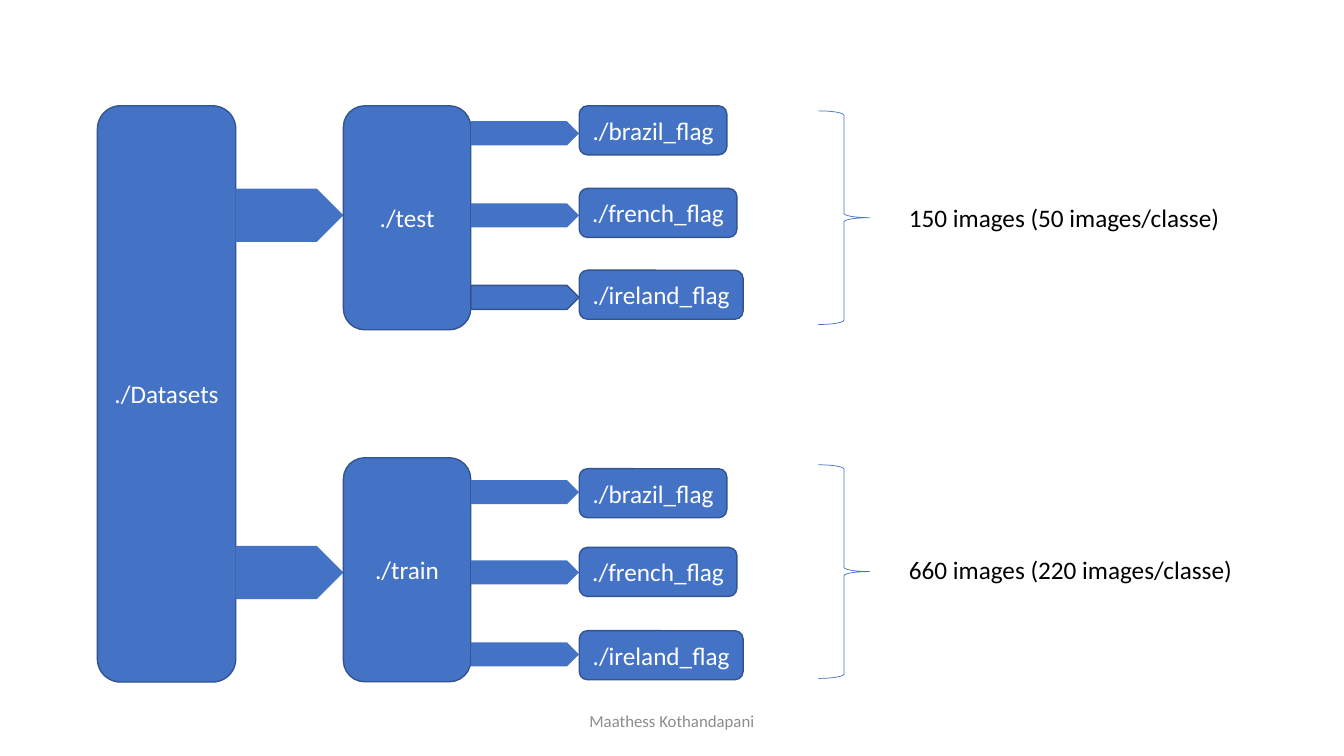
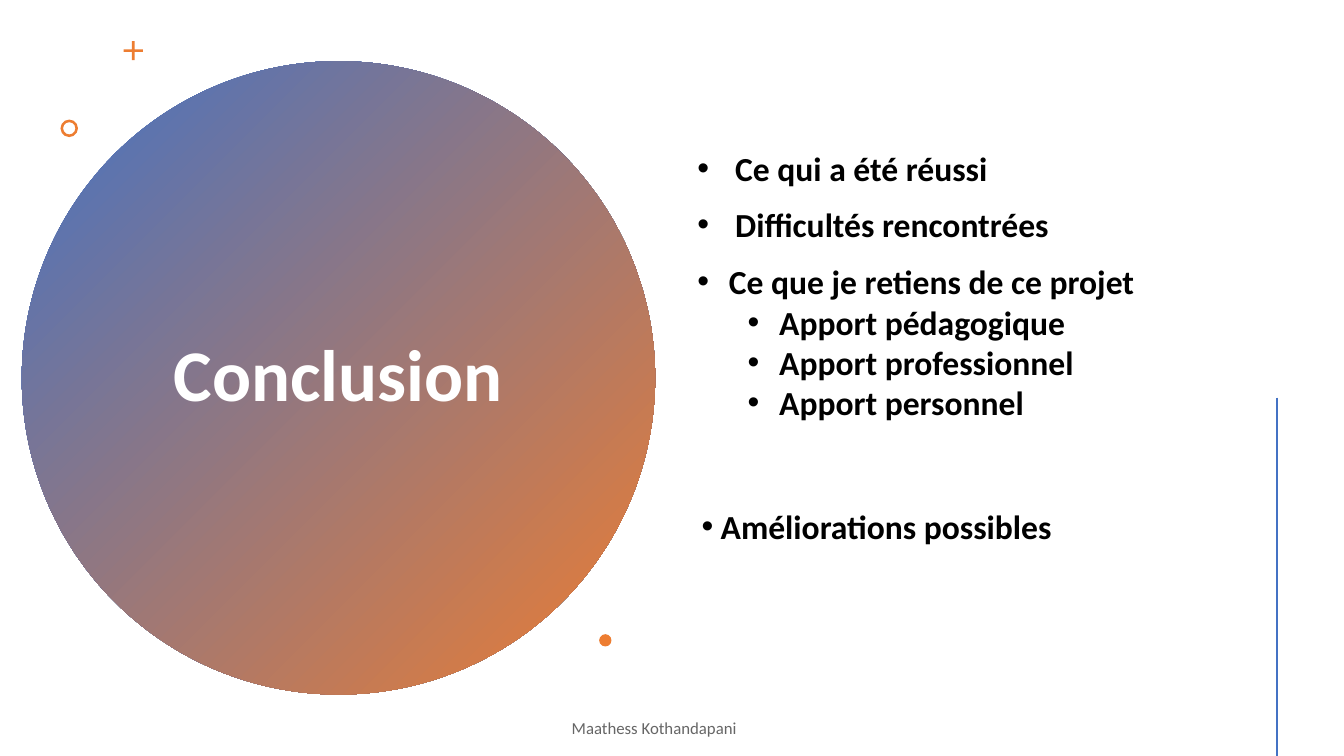
from lxml import etree
from pptx import Presentation
from pptx.dml.color import RGBColor
from pptx.enum.shapes import MSO_CONNECTOR, MSO_SHAPE
from pptx.enum.text import MSO_ANCHOR, MSO_AUTO_SIZE, PP_ALIGN
from pptx.oxml.ns import qn
from pptx.util import Pt

ROUNDED, ARROW, BRACE = (MSO_SHAPE.ROUNDED_RECTANGLE, MSO_SHAPE.PENTAGON,
                         MSO_SHAPE.RIGHT_BRACE)
CIRCLE, RING, PLUS = MSO_SHAPE.OVAL, MSO_SHAPE.DONUT, MSO_SHAPE.CROSS
STRAIGHT = MSO_CONNECTOR.STRAIGHT
LEFT, CENTER = PP_ALIGN.LEFT, PP_ALIGN.CENTER
TOP, MIDDLE = MSO_ANCHOR.TOP, MSO_ANCHOR.MIDDLE
NO_AUTOFIT = MSO_AUTO_SIZE.NONE

BLUE, DARK_BLUE, ORANGE = "4472C4", "325491", "ED7D31"
BLACK, WHITE, GREY, DARK_GREY = "000000", "FFFFFF", "8C8C8C", "666666"
FONT = "Calibri"
AUTHOR = "Maathess Kothandapani"
BLANK, TITLE_ONLY = 6, 5


def color(value):
    return RGBColor.from_string(value)


def place(left, top, width, height):
    return Pt(left), Pt(top), Pt(width), Pt(height)


def assign(target, values):
    for name, value in values.items():
        setattr(target, name, value)


class Deck:
    """Shared style, and the page being drawn."""

    def __init__(self):
        self.deck = Presentation()
        assign(self.deck, {"slide_width": Pt(960), "slide_height": Pt(540)})
        self.page = None

    def new_page(self, layout):
        self.page = self.deck.slides.add_slide(self.deck.slide_layouts[layout])

    def fill_para(self, para, text, size, ink, bold=False, align=LEFT,
                  spacing=1.0):
        assign(para, {"alignment": align, "line_spacing": spacing,
                      "space_before": Pt(0)})
        span = para.add_run()
        span.text = text
        assign(span.font, {"name": FONT, "size": Pt(size), "bold": bold})
        span.font.color.rgb = color(ink)

    def shape(self, kind, box, fill=BLUE, line=None, width=1, adjust=None):
        item = self.page.shapes.add_shape(kind, *place(*box))
        item.shadow.inherit = False
        if fill:
            item.fill.solid()
            item.fill.fore_color.rgb = color(fill)
        else:
            item.fill.background()
        if line:
            item.line.color.rgb = color(line)
            item.line.width = Pt(width)
        else:
            item.line.fill.background()
        if adjust is not None:
            item.adjustments[0] = adjust
        return item

    def folder(self, text, box):
        frame = self.shape(ROUNDED, box, line=DARK_BLUE).text_frame
        assign(frame, {"word_wrap": False, "vertical_anchor": MIDDLE})
        self.fill_para(frame.paragraphs[0], text, 18, WHITE, align=CENTER)

    def text_frame(self, box, anchor=TOP):
        frame = self.page.shapes.add_textbox(*place(*box)).text_frame
        assign(frame, {"word_wrap": True, "vertical_anchor": anchor})
        return frame

    def label(self, text, box):
        self.fill_para(self.text_frame(box).paragraphs[0], text, 18, BLACK)

    def footer(self, box, ink):
        frame = self.text_frame(box, MIDDLE)
        self.fill_para(frame.paragraphs[0], AUTHOR, 12, ink, align=CENTER)

    def bullets(self, box, items):
        """Each item is a text, its level, left margin and hanging indent."""
        frame = self.text_frame(box)
        for index, (text, level, margin, hanging) in enumerate(items):
            para = frame.add_paragraph() if index else frame.paragraphs[0]
            para.level = level
            self.fill_para(para, text, 24, BLACK, bold=True)
            props = para._p.get_or_add_pPr()
            props.set("marL", str(Pt(margin)))
            props.set("indent", str(-Pt(hanging)))
            etree.SubElement(props, qn("a:buFont")).set("typeface", "Arial")
            etree.SubElement(props, qn("a:buChar")).set("char", "•")

    def title(self, text, box):
        title = self.page.shapes.title
        assign(title, dict(zip(("left", "top", "width", "height"), place(*box))))
        assign(title.text_frame, {"word_wrap": True, "auto_size": NO_AUTOFIT,
                                  "vertical_anchor": MIDDLE})
        self.fill_para(title.text_frame.paragraphs[0], text, 52, WHITE,
                       bold=True, align=CENTER, spacing=0.9)
        return title

    def line(self, x1, y1, x2, y2, ink, width):
        item = self.page.shapes.add_connector(
            STRAIGHT, Pt(x1), Pt(y1), Pt(x2), Pt(y2))
        item.line.color.rgb = color(ink)
        item.line.width = Pt(width)
        etree.SubElement(item.element.spPr, qn("a:effectLst"))


# Folder tree: one entry per branch, with the top of each part
BRANCHES = [
    {"name": "./test", "top": 75.6, "arrow": 134.8, "brace": 79.2,
     "count": "150 images (50 images/classe)",
     "classes": [75.6, 134.6, 193], "links": [86.6, 145.2, 203.8],
     "outlined": 2},
    {"name": "./train", "top": 327, "arrow": 390, "brace": 332,
     "count": "660 images (220 images/classe)",
     "classes": [334.8, 391, 450.5], "links": [342.9, 400.2, 458.8],
     "outlined": None},
]
CLASSES = [("./brazil_flag", 105.4), ("./french_flag", 112.6),
           ("./ireland_flag", 117)]


def draw_datasets(deck):
    deck.new_page(BLANK)
    deck.footer((318, 500.5, 324, 28.8), GREY)
    deck.folder("./Datasets", (69.6, 75.6, 98.8, 411.6))
    for branch in BRANCHES:
        deck.shape(ARROW, (168.1, branch["arrow"], 77.2, 38))
        deck.folder(branch["name"], (245.3, branch["top"], 91, 160))
        rows = zip(CLASSES, branch["classes"], branch["links"])
        for index, ((name, width), top, link) in enumerate(rows):
            outline = DARK_BLUE if index == branch["outlined"] else None
            deck.shape(ARROW, (336.4, link, 77.2, 17.2), line=outline)
            deck.folder(name, (413.8, top, width, 35))
        deck.shape(BRACE, (584.5, branch["brace"], 36.6, 152.6),
                   fill=None, line=BLUE, width=0.5)
        deck.label(branch["count"], (642.2, branch["top"] + 65.5, 245.5, 29))


def draw_conclusion(deck):
    deck.new_page(TITLE_ONLY)
    title = deck.title("Conclusion", (97.9, 101.5, 287.3, 336.2))

    # Gradient disc behind the title
    disc = deck.shape(CIRCLE, (15.6, 43.7, 452.4, 452.4))
    disc.fill.gradient()
    disc.fill.gradient_angle = 315
    for stop, tint in zip(disc.fill.gradient_stops, (BLUE, ORANGE)):
        stop.color.rgb = color(tint)
    title.element.addprevious(disc.element)

    # Small ornaments and side rule
    deck.shape(PLUS, (88.4, 29.4, 13.6, 13.6), ORANGE, adjust=0.43)
    deck.shape(RING, (43.2, 85.4, 12.5, 12.5), ORANGE, adjust=0.15)
    deck.shape(CIRCLE, (428, 453, 8.8, 8.8), ORANGE)
    deck.line(912.2, 284, 912.2, 540, BLUE, 2)
    deck.footer((327.6, 505.4, 279.4, 28.8), DARK_GREY)

    # Points
    lessons = ["Apport pédagogique", "Apport professionnel", "Apport personnel"]
    blocks = [
        (491, 102.2, [("Ce qui a été réussi", 0, 27, 27)]),
        (491, 142, [("Difficultés rencontrées", 0, 27, 27)]),
        (491, 183, [("Ce que je retiens de ce projet", 0, 22.5, 22.5)]
         + [(lesson, 1, 58.5, 22.5) for lesson in lessons]),
        (494, 358, [("Améliorations possibles", 0, 13.7, 13.7)]),
    ]
    for left, top, items in blocks:
        deck.bullets((left, top, 400, 7.2 + 29 * len(items)), items)


def main():
    deck = Deck()
    draw_datasets(deck)
    draw_conclusion(deck)
    deck.deck.save("out.pptx")


if __name__ == "__main__":
    main()
